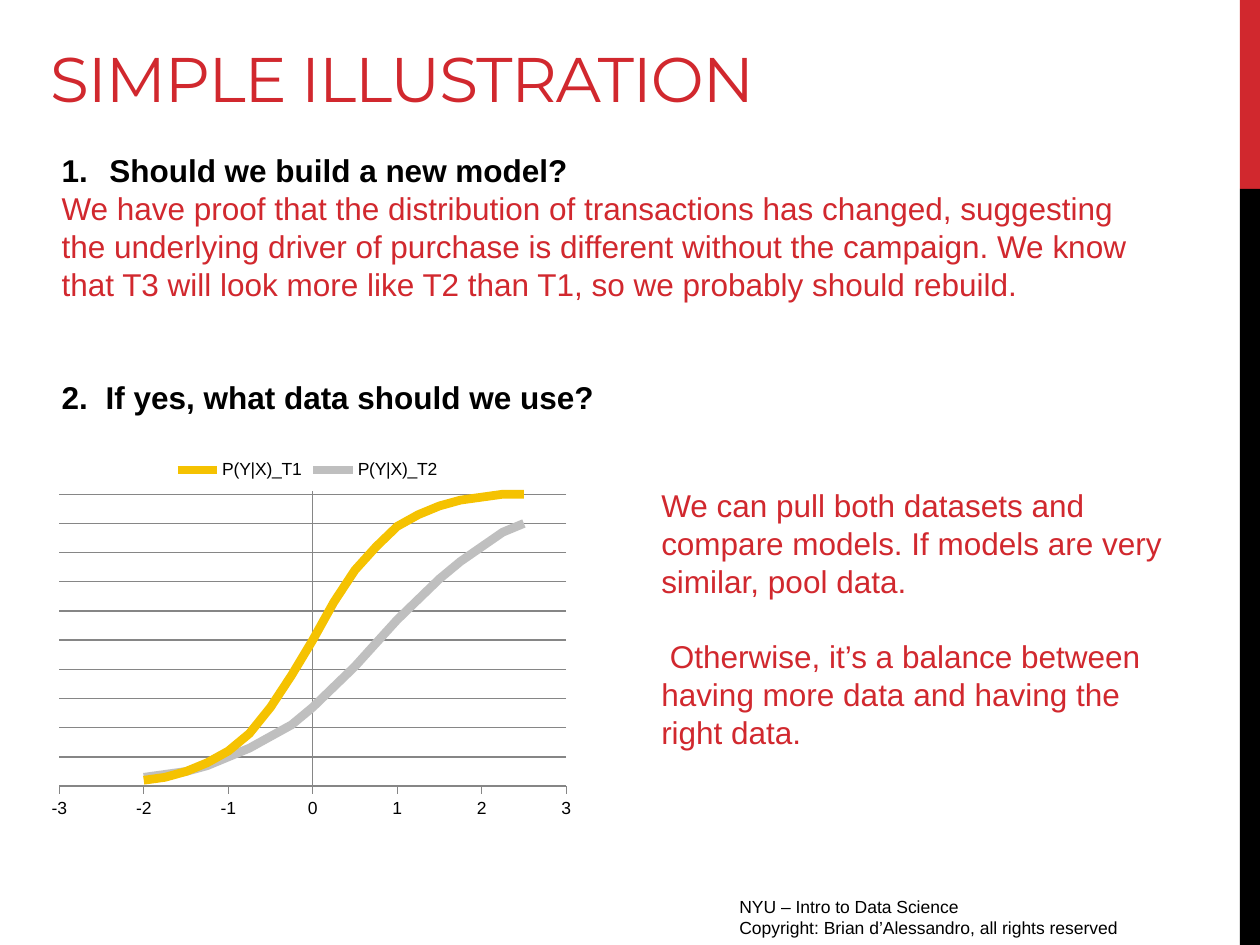
from lxml import etree
from pptx import Presentation
from pptx.chart.data import XyChartData
from pptx.dml.color import RGBColor
from pptx.enum.chart import XL_CHART_TYPE, XL_LEGEND_POSITION, XL_TICK_LABEL_POSITION, XL_TICK_MARK
from pptx.enum.shapes import MSO_SHAPE
from pptx.enum.text import MSO_ANCHOR
from pptx.oxml import parse_xml
from pptx.oxml.ns import nsdecls, qn
from pptx.util import Inches, Pt

SMOOTH = XL_CHART_TYPE.XY_SCATTER_SMOOTH_NO_MARKERS
TOP = XL_LEGEND_POSITION.TOP
NO_LABELS = XL_TICK_LABEL_POSITION.NONE
LOW = XL_TICK_LABEL_POSITION.LOW
OUT = XL_TICK_MARK.OUTSIDE
NONE = XL_TICK_MARK.NONE
RECT = MSO_SHAPE.RECTANGLE
BOTTOM = MSO_ANCHOR.BOTTOM
UPPER = MSO_ANCHOR.TOP

COLORS = {"red": "D1282E", "black": "000000", "gold": "F5C201", "silver": "BFBFBF", "grid": "868686"}
CURVES = {
    "P(Y|X)_T1": ("gold", [2, 3, 5, 8, 12, 18, 27, 38, 50, 63, 74, 82, 89, 93, 96, 98, 99, 100, 100]),
    "P(Y|X)_T2": ("silver", [3, 4, 5, 7, 10, 13, 17, 21, 27, 34, 41, 49, 57, 64, 71, 77, 82, 87, 90]),
}
PROOF = (
    "We have proof that the distribution of transactions has changed, suggesting "
    "the underlying driver of purchase is different without the campaign. We know "
    "that T3 will look more like T2 than T1, so we probably should rebuild."
)
POOL = "We can pull both datasets and compare models. If models are very similar, pool data."
BALANCE = " Otherwise, it’s a balance between having more data and having the right data."


def color(name):
    return RGBColor.from_string(COLORS[name])


def write(para, text, size=18, font="Arial", ink="black", bold=False, lead=1.2, gap=0, num=None, hang=0.38, track=0):
    props = para._p.get_or_add_pPr()
    if num:
        props.set("marL", str(Inches(hang)))
        props.set("indent", str(-Inches(hang)))
        mark = etree.SubElement(props, qn("a:buAutoNum"), type="arabicPeriod")
        mark.set("startAt", str(num))
    if lead:
        para.line_spacing = Pt(size * lead)
    if gap:
        para.space_before = Pt(gap)
    run = para.add_run()
    run.text = text
    run.font.size = Pt(size)
    run.font.name = font
    run.font.bold = bold
    run.font.color.rgb = color(ink)
    if track:
        run._r.get_or_add_rPr().set("spc", str(track))


class Deck:
    def __init__(self):
        self.prs = Presentation()
        self.prs.slide_width = Inches(10)
        self.prs.slide_height = Inches(7.5)
        self.slide = self.prs.slides.add_slide(self.prs.slide_layouts[6])

    def bar(self, x, y, w, h, fill):
        shape = self.slide.shapes.add_shape(RECT, Inches(x), Inches(y), Inches(w), Inches(h))
        shape.shadow.inherit = False
        shape.fill.solid()
        shape.fill.fore_color.rgb = color(fill)
        shape.line.fill.background()

    def text(self, x, y, w, h, lines, anchor=UPPER):
        frame = self.slide.shapes.add_textbox(Inches(x), Inches(y), Inches(w), Inches(h)).text_frame
        frame.word_wrap = True
        frame.vertical_anchor = anchor
        for i, (line, style) in enumerate(lines):
            write(frame.add_paragraph() if i else frame.paragraphs[0], line, **style)

    def stroke(self, line, ink, width):
        line.color.rgb = color(ink)
        line.width = Pt(width)

    def chart(self, x, y, w, h, curves):
        data = XyChartData(number_format="General")
        for name, (ink, values) in curves.items():
            series = data.add_series(name)
            for i, value in enumerate(values):
                series.add_data_point(-2 + i / 4, value)
        chart = self.slide.shapes.add_chart(SMOOTH, Inches(x), Inches(y), Inches(w), Inches(h), data).chart
        chart.has_title = False
        chart.font.size = Pt(10)
        chart.font.name = "Arial"
        chart.font.color.rgb = color("black")
        chart.has_legend = True
        chart.legend.position = TOP
        chart.legend.include_in_layout = False
        for series, (ink, values) in zip(chart.plots[0].series, curves.values()):
            series.smooth = True
            self.stroke(series.format.line, ink, 5)
        across, up = chart.category_axis, chart.value_axis
        across.minimum_scale, across.maximum_scale, across.major_unit = -3, 3, 1
        up.minimum_scale, up.maximum_scale, up.major_unit = 0, 101, 10
        across.has_major_gridlines = False
        up.has_major_gridlines = True
        across.tick_label_position = LOW
        up.tick_label_position = NO_LABELS
        for axis in (across, up):
            axis.major_tick_mark = OUT
            axis.minor_tick_mark = NONE
            self.stroke(axis.format.line, "grid", 0.75)
        self.stroke(up.major_gridlines.format.line, "grid", 0.75)
        self.place(chart, x=0.04, y=0.12, w=0.94, h=0.78)

    def place(self, chart, **box):
        area = chart._chartSpace.chart.plotArea
        for old in area.findall(qn("c:layout")):
            area.remove(old)
        sizes = "".join(f'<c:{key} val="{val}"/>' for key, val in box.items())
        area.insert(0, parse_xml(
            f'<c:layout {nsdecls("c")}><c:manualLayout><c:layoutTarget val="inner"/>'
            f'<c:xMode val="edge"/><c:yMode val="edge"/>{sizes}</c:manualLayout></c:layout>'
        ))


def main():
    deck = Deck()
    red = {"ink": "red"}
    small = {"size": 10}
    deck.bar(9.84, 0, 0.16, 1.5, "red")
    deck.bar(9.84, 1.5, 0.16, 6, "black")
    deck.text(5.77, 7.06, 3.75, 0.31, [
        ("NYU – Intro to Data Science", small),
        ("Copyright: Brian d’Alessandro, all rights reserved", small),
    ])
    title = {"size": 36, "font": "Montserrat", "ink": "red", "lead": None, "track": -60}
    deck.text(0.3, -0.3, 9.18, 1.26, [("SIMPLE ILLUSTRATION", title)], BOTTOM)
    deck.text(0.39, 1.15, 8.82, 2.22, [
        ("Should we build a new model?", {"bold": True, "num": 1}),
        (PROOF, red),
        ("If yes, what data should we use?", {"bold": True, "num": 2, "hang": 0.35, "gap": 43.2}),
    ])
    deck.chart(0.3, 3.54, 4.28, 3, CURVES)
    deck.text(5.15, 3.81, 4.33, 2.22, [(POOL, red), (BALANCE, {**red, "gap": 21.6})])
    deck.prs.save("out.pptx")


if __name__ == "__main__":
    main()
